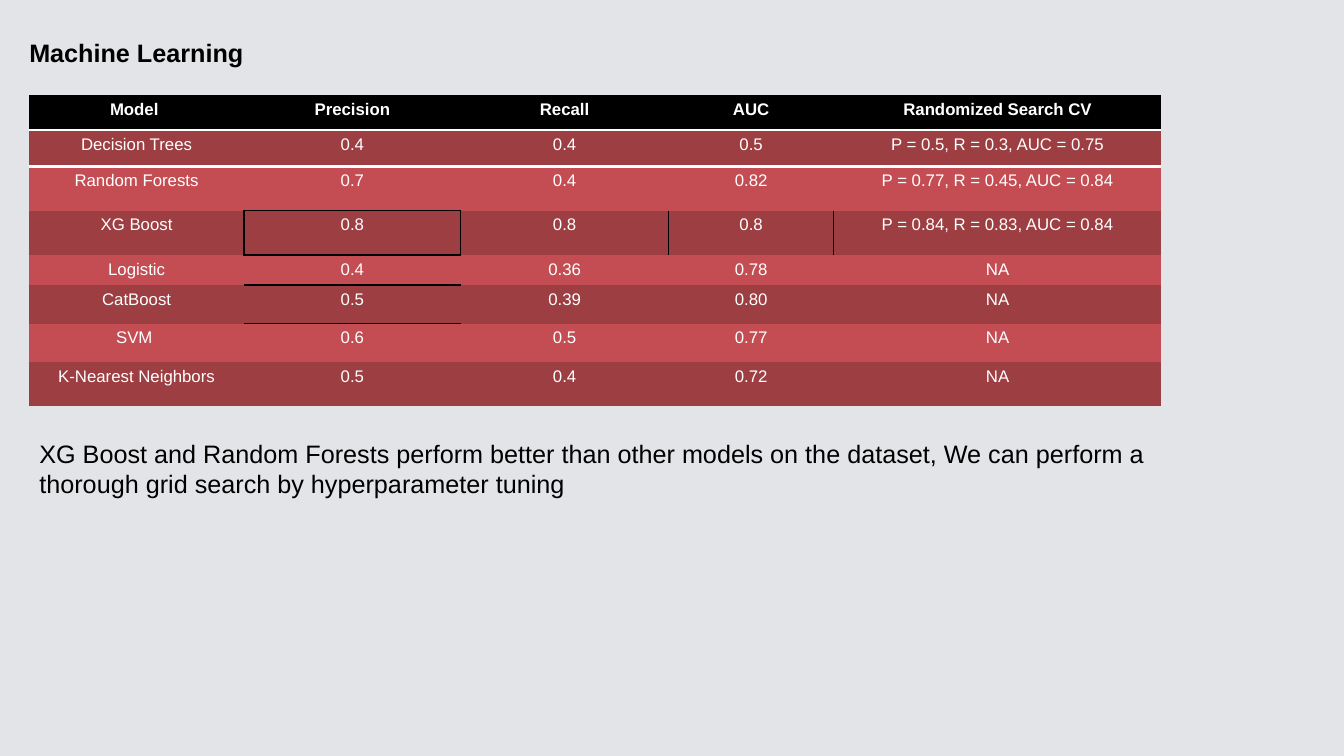
from lxml.etree import SubElement
from pptx import Presentation
from pptx.dml.color import RGBColor
from pptx.enum.text import MSO_ANCHOR, MSO_AUTO_SIZE, PP_ALIGN
from pptx.oxml.ns import qn
from pptx.util import Inches, Pt

BLACK, WHITE, BACKDROP = "000000", "FFFFFF", "E2E4E8"
BANDS = ["9C3E42", "C34D53"]
PLAIN_TABLE_STYLE = "{2D5ABB26-0587-4C30-8999-92F81FD0307C}"

COLUMN_WIDTHS = [2.13, 2.15, 2.06, 1.64, 3.25]
ROW_HEIGHTS = [0.35, 0.36, 0.44, 0.44, 0.3, 0.38, 0.38, 0.44]
RESULTS = [
    ["Model ", "Precision", "Recall", "AUC", "Randomized Search CV"],
    ["Decision Trees", "0.4", "0.4", "0.5", "P = 0.5, R = 0.3, AUC = 0.75"],
    ["Random Forests", "0.7", "0.4", "0.82", "P = 0.77, R = 0.45, AUC = 0.84"],
    ["XG Boost", "0.8", "0.8", "0.8", "P = 0.84, R = 0.83, AUC = 0.84"],
    ["Logistic", "0.4", "0.36", "0.78", "NA"],
    ["CatBoost", "0.5", "0.39", "0.80", "NA"],
    ["SVM ", "0.6", "0.5", "0.77", "NA"],
    ["K-Nearest Neighbors", "0.5", "0.4", "0.72", "NA"],
]
SUMMARY = (
    "XG Boost and Random Forests perform better than other models on the dataset, "
    "We can perform a thorough grid search by hyperparameter tuning"
)

# Borders by (row, column): side -> (colour, points), sides in L, R, T, B order
THIN, THICK = (BLACK, 1), (BLACK, 1.5)
BORDERS = {(0, column): {"B": (WHITE, 2)} for column in range(len(COLUMN_WIDTHS))}
BORDERS |= {(1, column): {"T": (WHITE, 2)} for column in range(len(COLUMN_WIDTHS))}
BORDERS |= {
    (2, 1): {"B": THIN},
    (3, 0): {"R": THIN},
    (3, 1): {"L": THIN, "R": THIN, "T": THIN, "B": THIN},
    (3, 2): {"L": THIN, "R": THIN},
    (3, 3): {"L": THIN},
    (4, 1): {"T": THIN, "B": THICK},
    (5, 1): {"T": THICK},
}


def color(value):
    return RGBColor.from_string(value)


def set_attributes(target, values):
    for name, value in values.items():
        setattr(target, name, value)


def write_text(frame, text, size, ink, bold=False, align=PP_ALIGN.LEFT):
    para = frame.paragraphs[0]
    set_attributes(para, {"alignment": align, "space_before": Pt(0)})
    span = para.add_run()
    span.text = text
    set_attributes(span.font, {"name": "Arial", "size": Pt(size), "bold": bold})
    span.font.color.rgb = color(ink)
    return para


def fill_placeholder(box, bounds, text, bold=False):
    names = ["left", "top", "width", "height"]
    set_attributes(box, dict(zip(names, map(Inches, bounds))))
    frame = box.text_frame
    set_attributes(frame, {
        "word_wrap": True,
        "auto_size": MSO_AUTO_SIZE.SHAPE_TO_FIT_TEXT,
        "vertical_anchor": MSO_ANCHOR.TOP,
    })
    return write_text(frame, text, 18, BLACK, bold)


def remove_bullet(para):
    properties = para._p.get_or_add_pPr()
    set_indent = {"marL": "0", "indent": "0"}
    for name, value in set_indent.items():
        properties.set(name, value)
    SubElement(properties, qn("a:buNone"))


def draw_borders(cell, sides):
    properties = cell._tc.get_or_add_tcPr()
    for side, (ink, points) in sides.items():
        line = SubElement(properties, qn(f"a:ln{side}"), w=str(Pt(points)))
        solid = SubElement(line, qn("a:solidFill"))
        SubElement(solid, qn("a:srgbClr"), val=ink)


def add_results_table(page, left, top):
    frame = page.shapes.add_table(
        len(RESULTS), len(COLUMN_WIDTHS), Inches(left), Inches(top),
        Inches(sum(COLUMN_WIDTHS)), Inches(sum(ROW_HEIGHTS)))
    table = frame.table
    table._tbl.tblPr.find(qn("a:tableStyleId")).text = PLAIN_TABLE_STYLE
    for column, width in zip(table.columns, COLUMN_WIDTHS):
        column.width = Inches(width)
    for row, height in zip(table.rows, ROW_HEIGHTS):
        row.height = Inches(height)

    for row, values in enumerate(RESULTS):
        header = row == 0
        for column, text in enumerate(values):
            cell = table.cell(row, column)
            draw_borders(cell, BORDERS.get((row, column), {}))
            cell.fill.solid()
            cell.fill.fore_color.rgb = color(BLACK if header else BANDS[(row - 1) % 2])
            write_text(cell.text_frame, text, 12, WHITE, header, PP_ALIGN.CENTER)


def main():
    deck = Presentation()
    set_attributes(deck, {"slide_width": Inches(13.33), "slide_height": Inches(7.5)})
    page = deck.slides.add_slide(deck.slide_layouts[1])

    # Backdrop
    page.background.fill.solid()
    page.background.fill.fore_color.rgb = color(BACKDROP)

    # Title, model scores and conclusion
    fill_placeholder(page.shapes.title, (0.19, 0.32, 5.31, 0.4), "Machine Learning", True)
    add_results_table(page, 0.29, 0.94)
    summary = fill_placeholder(page.placeholders[1], (0.29, 4.3, 11.23, 0.71), SUMMARY)
    remove_bullet(summary)

    deck.save("out.pptx")


if __name__ == "__main__":
    main()
